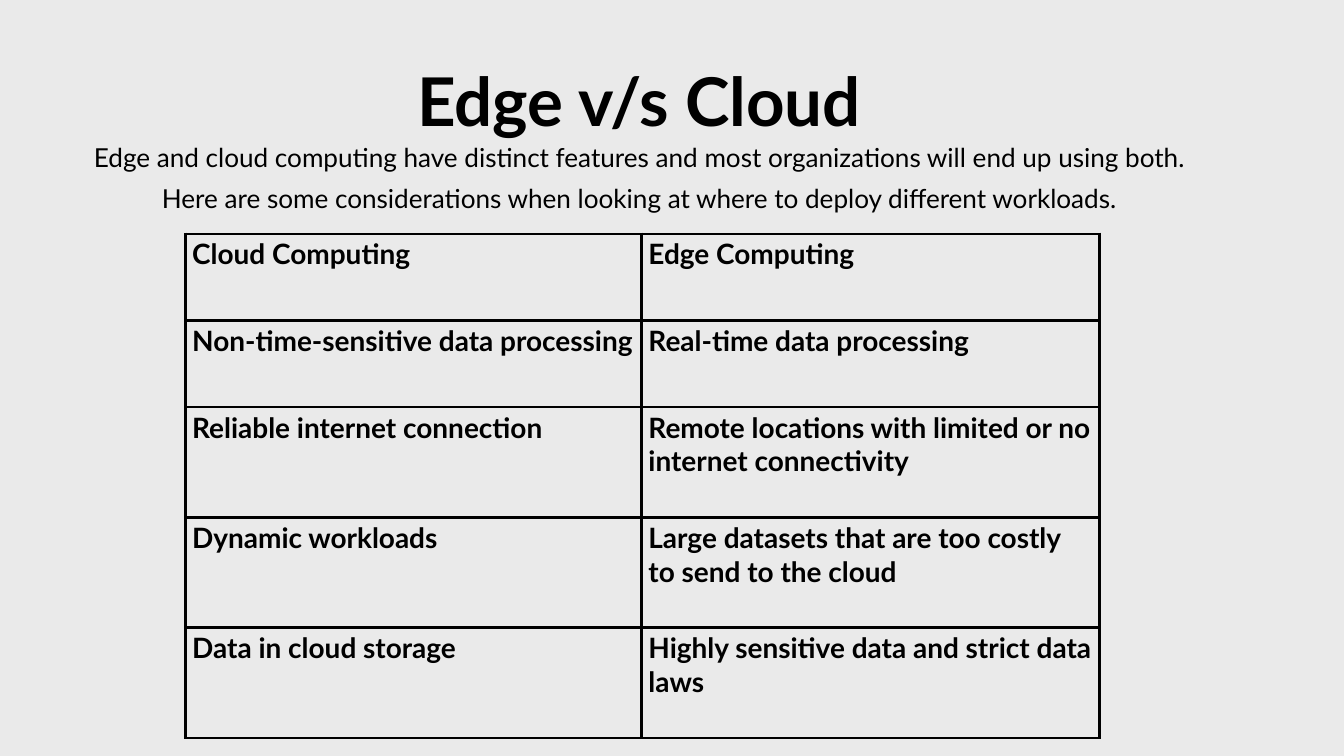
from lxml import etree
from pptx import Presentation
from pptx import util as u
from pptx.dml import color
from pptx.enum import text
from pptx.oxml import ns

COLORS = {"background": "EAEAEA", "ink": "000000"}
FONT = "Lato"
ROWS = [
    ("Cloud Computing", "Edge Computing"),
    ("Non-time-sensitive data processing", "Real-time data processing"),
    ("Reliable internet connection",
     "Remote locations with limited or no internet connectivity"),
    ("Dynamic workloads", "Large datasets that are too costly to send to the cloud"),
    ("Data in cloud storage", "Highly sensitive data and strict data laws"),
]
COLUMN_WIDTHS = (6.79, 6.81)
ROW_HEIGHTS = (1.29, 1.29, 1.64, 1.64, 1.64)


def write_text(frame, content, size, bold=False, align=text.PP_ALIGN.LEFT,
               spacing=1.0, margins=(0, 0)):
    frame.word_wrap = True
    frame.vertical_anchor = text.MSO_ANCHOR.TOP
    frame.margin_left = frame.margin_right = u.Inches(margins[0])
    frame.margin_top = frame.margin_bottom = u.Inches(margins[1])
    paragraph = frame.paragraphs[0]
    paragraph.alignment = align
    paragraph.line_spacing = spacing
    run = paragraph.add_run()
    run.text = content
    run.font.name = FONT
    run.font.size = u.Pt(size)
    run.font.bold = bold
    run.font.color.rgb = color.RGBColor.from_string(COLORS["ink"])


def add_heading(slide, left, top, width):
    title = slide.shapes.title
    title.left, title.top = u.Inches(left), u.Inches(top)
    title.width, title.height = u.Inches(width), u.Inches(1.25)
    title.text_frame.auto_size = text.MSO_AUTO_SIZE.NONE
    write_text(title.text_frame, "Edge v/s Cloud", 72, bold=True,
               align=text.PP_ALIGN.CENTER, spacing=1.3)
    introduction = slide.shapes.add_textbox(
        u.Inches(left), u.Inches(top + 1.43), u.Inches(width), u.Inches(0.99))
    write_text(introduction.text_frame,
               "Edge and cloud computing have distinct features and most "
               "organizations will end up using both. Here are some considerations "
               "when looking at where to deploy different workloads.",
               28, align=text.PP_ALIGN.CENTER, spacing=1.3)


def add_borders(cell, width):
    properties = cell._tc.get_or_add_tcPr()
    for index, side in enumerate(("lnL", "lnR", "lnT", "lnB")):
        line = etree.Element(ns.qn("a:" + side), w=str(u.Pt(width)))
        fill = etree.SubElement(line, ns.qn("a:solidFill"))
        etree.SubElement(fill, ns.qn("a:srgbClr"), val=COLORS["ink"])
        properties.insert(index, line)


def add_comparison(slide, left, top, width, height):
    table = slide.shapes.add_table(
        len(ROWS), len(COLUMN_WIDTHS), u.Inches(left), u.Inches(top),
        u.Inches(width), u.Inches(height)).table
    table.first_row = table.horz_banding = False
    for column, column_width in zip(table.columns, COLUMN_WIDTHS):
        column.width = u.Inches(column_width)
    for row, row_height, contents in zip(table.rows, ROW_HEIGHTS, ROWS):
        row.height = u.Inches(row_height)
        for cell, content in zip(row.cells, contents):
            write_text(cell.text_frame, content, 30, bold=True)
            cell.margin_left = cell.margin_right = u.Inches(0.1)
            cell.margin_top = cell.margin_bottom = u.Inches(0.05)
            cell.vertical_anchor = text.MSO_ANCHOR.TOP
            cell.fill.background()
            add_borders(cell, 3)


def main():
    presentation = Presentation()
    presentation.slide_width = u.Inches(20)
    presentation.slide_height = u.Inches(11.25)
    slide = presentation.slides.add_slide(presentation.slide_layouts[5])
    background = slide.background.fill
    background.solid()
    background.fore_color.rgb = color.RGBColor.from_string(COLORS["background"])
    add_comparison(slide, 2.76, 3.48, sum(COLUMN_WIDTHS), sum(ROW_HEIGHTS))
    add_heading(slide, 1.12, 0.53, 16.78)
    presentation.save("out.pptx")


if __name__ == "__main__":
    main()
